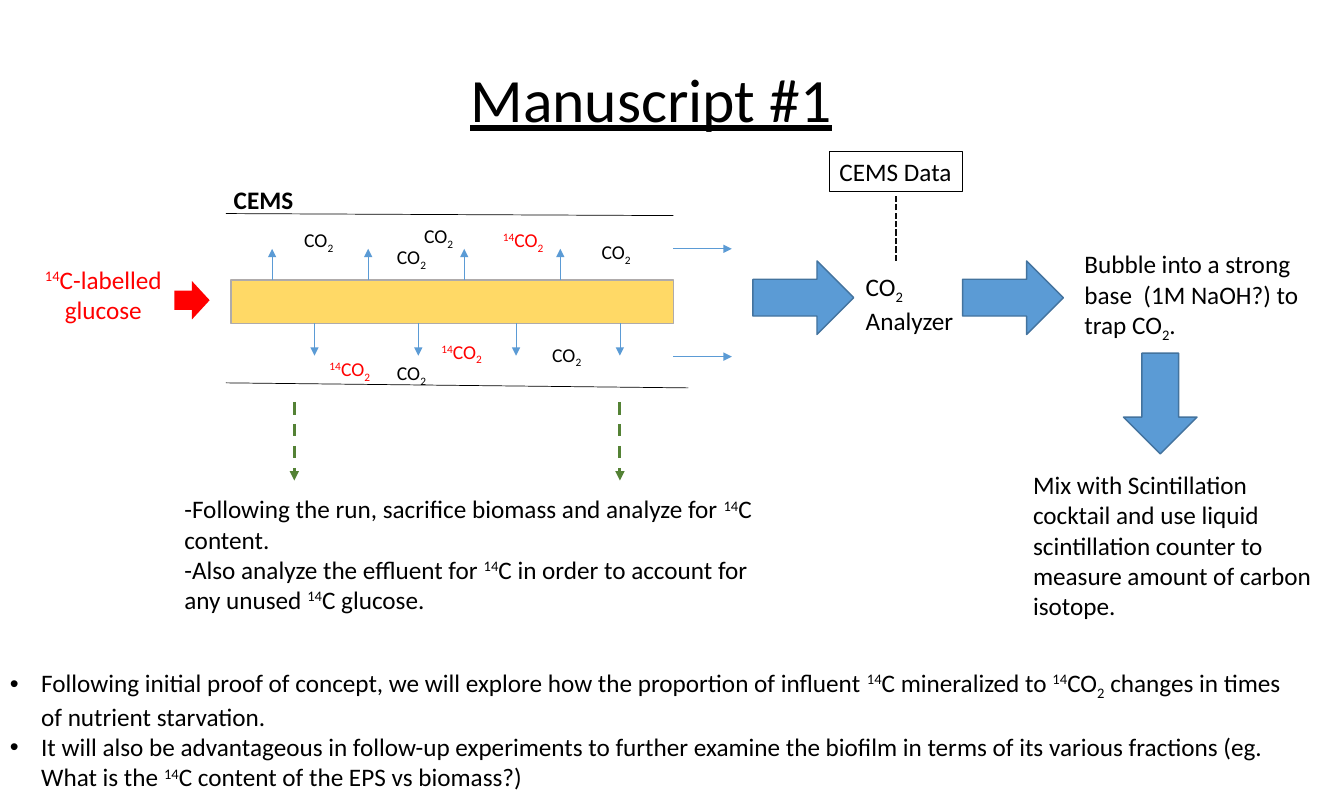
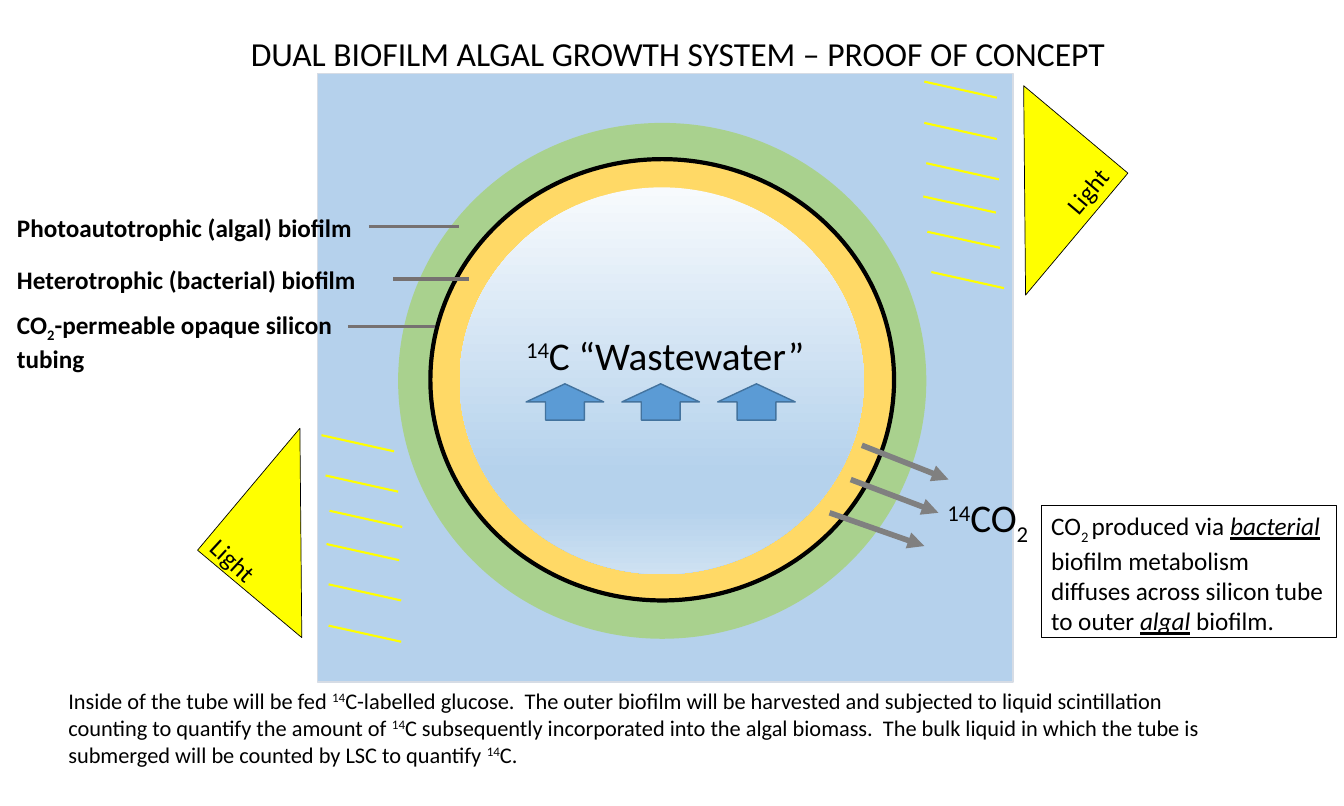
"""Build two slides on tracing labelled carbon through a biofilm tube."""
from dataclasses import dataclass
from typing import NamedTuple, Optional

from lxml import etree
from pptx import Presentation
from pptx import util as u
from pptx.dml.color import RGBColor
from pptx.enum import dml, shapes, text
from pptx.oxml.ns import qn

KIND = shapes.MSO_SHAPE
DASH = dml.MSO_LINE


@dataclass(frozen=True)
class Theme:
    """Colours, type sizes and the grid unit shared by the slides."""
    font: str = "Calibri"
    black: str = "000000"
    red: str = "FF0000"
    blue: str = "5B9BD5"
    edge: str = "43739E"
    gold: str = "FFD966"
    green: str = "A9D18E"
    moss: str = "548235"
    lamp: str = "FFFF00"
    grey: str = "808080"
    lead: str = "767171"
    title: float = 44
    large: float = 28
    head: float = 24
    body: float = 18
    note: float = 16
    small: float = 14
    unit: float = 0.1


T = Theme()
COLS, ROWS = 400 / 3, 80


class Box(NamedTuple):
    """A frame in grid columns and rows."""
    left: float
    top: float
    wide: float
    high: float


class Pen(NamedTuple):
    """An outline or line style."""
    tint: str
    width: float
    dash: Optional[DASH] = None
    arrow: bool = False


class Label(NamedTuple):
    """A piece of text with its frame and style."""
    box: Box
    lines: tuple
    size: float = T.body
    tint: str = T.black
    bold: bool = False
    align: Optional[text.PP_ALIGN] = None
    bullet: bool = False
    turn: float = 0
    pen: Optional[Pen] = None


class Form(NamedTuple):
    """A preset shape with its fill and outline."""
    kind: KIND
    box: Box
    fill: str
    pen: Optional[Pen] = None
    turn: float = 0


class Link(NamedTuple):
    """A straight line between two grid points."""
    x1: float
    y1: float
    x2: float
    y2: float
    pen: Pen


FLOW = Pen(T.blue, 0.5, arrow=True)
RIM = Pen(T.edge, 1)
THIN = Pen(T.black, 0.5)
FRAME = Pen(T.black, 0.75)
RAY = Pen(T.lamp, 1.5)
LEAD = Pen(T.lead, 2.25)
GAS = "CO|~2"
HOT = "|^14|CO|~2"


def grid(count: float) -> int:
    """Turn grid steps into a length."""
    return u.Emu(round(count * u.Inches(T.unit)))


def hue(code: str) -> RGBColor:
    """Read a colour code."""
    return RGBColor.from_string(code)


def ink(line, pen: Optional[Pen]) -> None:
    """Apply a pen to a line format."""
    if pen is None:
        line.fill.background()
        return
    line.color.rgb = hue(pen.tint)
    line.width = u.Pt(pen.width)
    if pen.dash:
        line.dash_style = pen.dash


def style(run, label: Label, mark: str) -> None:
    """Format one run by its mark: raised, lowered or stressed."""
    font = run.font
    font.name, font.size, font.bold = T.font, u.Pt(label.size), label.bold
    font.color.rgb = hue(label.tint)
    if mark == "_":
        font.italic = font.underline = True
    elif mark:
        shift = {"^": "30000", "~": "-25000"}[mark]
        run._r.get_or_add_rPr().set("baseline", shift)


def dot(para) -> None:
    """Give a paragraph a hanging round bullet."""
    props = para._p.get_or_add_pPr()
    props.set("marL", str(grid(3.1)))
    props.set("indent", str(-grid(3.1)))
    etree.SubElement(props, qn("a:buFont")).set("typeface", "Arial")
    etree.SubElement(props, qn("a:buChar")).set("char", "•")


def write(slide, label: Label):
    """Draw a label; bars part its runs and a first sign marks each."""
    item = slide.shapes.add_textbox(*map(grid, label.box))
    item.rotation = label.turn
    if label.pen:
        ink(item.line, label.pen)
    frame = item.text_frame
    frame.word_wrap = True
    for i, line in enumerate(label.lines):
        para = frame.add_paragraph() if i else frame.paragraphs[0]
        para.alignment = label.align
        if label.bullet:
            dot(para)
        for part in filter(None, line.split("|")):
            mark = part[0] if part[0] in "^~_" else ""
            run = para.add_run()
            run.text = part[len(mark):]
            style(run, label, mark)
    return item


def draw(slide, form: Form):
    """Draw a preset shape."""
    item = slide.shapes.add_shape(form.kind, *map(grid, form.box))
    item.shadow.inherit = False
    item.rotation = form.turn
    item.fill.solid()
    item.fill.fore_color.rgb = hue(form.fill)
    ink(item.line, form.pen)
    return item


def join(slide, link: Link) -> None:
    """Draw a line, with an arrowhead if its pen has one."""
    ends = map(grid, link[:4])
    item = slide.shapes.add_connector(shapes.MSO_CONNECTOR.STRAIGHT, *ends)
    ink(item.line, link.pen)
    if link.pen.arrow:
        tip = etree.SubElement(item.line._get_or_add_ln(), qn("a:tailEnd"))
        tip.set("type", "triangle")
    etree.SubElement(item._element.spPr, qn("a:effectLst"))


def fade(item, alpha: int) -> None:
    """Make a solid fill partly clear, by percent."""
    tint = item._element.spPr.find(qn("a:solidFill"))[0]
    etree.SubElement(tint, qn("a:alpha")).set("val", str(alpha * 1000))


def blend(item, stops: dict) -> None:
    """Fill a shape from top to bottom through the given stops."""
    item.fill.gradient()
    item.fill.gradient_angle = 270
    chain = item._element.spPr.find(qn("a:gradFill")).find(qn("a:gsLst"))
    for old in list(chain):
        chain.remove(old)
    for place, code in stops.items():
        stop = etree.SubElement(chain, qn("a:gs"))
        stop.set("pos", str(place * 1000))
        etree.SubElement(stop, qn("a:srgbClr")).set("val", code)


def study(slide) -> None:
    """Draw the flow chart of the first slide."""
    mid = text.PP_ALIGN.CENTER
    title = write(slide, Label(Box(7.1, 2.9, 115, 14.5), ("Manuscript #1",), T.title, align=mid))
    title.text_frame.vertical_anchor = text.MSO_ANCHOR.MIDDLE
    para = title.text_frame.paragraphs[0]
    para.line_spacing = 0.9
    para.runs[0].font.underline = True

    right = KIND.RIGHT_ARROW
    for form in (
        Form(KIND.RECTANGLE, Box(22.9, 27.8, 43.9, 4.3), T.gold, Pen("AFABAB", 1)),
        Form(right, Box(17.3, 27.9, 3.5, 3.8), T.red),
        Form(right, Box(74.7, 25.9, 10, 7.3), T.blue, RIM),
        Form(right, Box(95.5, 25.9, 10, 7.3), T.blue, RIM),
        Form(right, Box(110.1, 36.4, 10, 7.3), T.blue, RIM, 90),
    ):
        draw(slide, form)

    drop = Pen(T.moss, 2.25, DASH.DASH, True)
    links = [Link(22.4, 21.2, 66.8, 21.4, THIN), Link(22.4, 38, 68.3, 38.5, THIN)]
    links += [Link(27 + 9.53 * i, 27.8, 27 + 9.53 * i, 24.7, FLOW) for i in range(4)]
    links += [Link(x, 32.1, x, 35.3, FLOW) for x in (31.2, 41.5, 51.2, 61.5)]
    links += [Link(66.8, y, 72.6, y, FLOW) for y in (24.7, 35.4)]
    links += [Link(x, 39.9, x, 47.7, drop) for x in (29.2, 61.5)]
    links.append(Link(88.9, 25.9, 88.9, 19.3, Pen("0D0D0D", 1.5, DASH.SQUARE_DOT)))
    for link in links:
        join(slide, link)

    spots = {
        GAS: ((29.2, 22.1), (38.4, 23.8), (41.1, 21.7), (38.4, 35.3), (53.8, 33.5), (58.7, 23.3)),
        HOT: ((48.9, 22.1), (31.7, 34.9), (42.8, 33.2)),
    }
    for gas, places in spots.items():
        tint = T.red if gas == HOT else T.black
        for x, y in places:
            write(slide, Label(Box(x, y, 9.7, 3.4), (gas,), T.small, tint))

    for label in (
        Label(Box(0, 65.7, 129.2, 13.1), (
            "Following initial proof of concept, we will explore how the proportion of influent "
            "|^14|C mineralized to |^14|CO|~2| changes in times of nutrient starvation.",
            "It will also be advantageous in follow-up experiments to further examine the biofilm "
            "in terms of its various fractions (eg. What is the |^14|C content of the EPS vs "
            "biomass?)"), bullet=True),
        Label(Box(101.5, 46.1, 30.1, 16.2), (
            "Mix with Scintillation cocktail and use liquid scintillation counter to measure "
            "amount of carbon isotope.",)),
        Label(Box(1.7, 25.7, 17.1, 7.1), ("|^14|C-labelled glucose",), tint=T.red, align=mid),
        Label(Box(84.9, 26.4, 14.1, 7.1), ("CO|~2| Analyzer",)),
        Label(Box(106.6, 24.2, 24.2, 10.1), (
            "Bubble into a strong base  (1M NaOH?) to trap CO|~2|.",)),
        Label(Box(17.3, 48.5, 58.8, 13.1), (
            "-Following the run, sacrifice biomass and analyze for |^14|C content.",
            "-Also analyze the effluent for |^14|C in order to account for any unused "
            "|^14|C glucose.")),
        Label(Box(82.3, 15, 13.2, 4), ("CEMS Data",), pen=FRAME),
        Label(Box(22.2, 17.8, 20.9, 4), ("CEMS",), bold=True),
    ):
        write(slide, label)


def shine(slide) -> None:
    """Draw both lamps and their rays, each the other's half turn."""
    wide, high, far, low = 13.5, 15.8, 131.5, 71.8
    left, top = 23.1, 45
    for x, y, turn in ((left, top, 40), (far - left - wide, low - top - high, 220)):
        draw(slide, Form(KIND.RIGHT_TRIANGLE, Box(x, y, wide, high), T.lamp, THIN, turn))
    rays = ((31.9, 43.2), (32.3, 47.2), (32.7, 50.7), (32.4, 54), (32.6, 58), (32.6, 62.1))
    for x, y in rays:
        join(slide, Link(x, y, x + 7.2, y + 1.6, RAY))
        join(slide, Link(far - x, low - y, far - x - 7.2, low - y - 1.6, RAY))


def tube(slide) -> None:
    """Draw the cross section of the second slide."""
    tank = Form(KIND.RECTANGLE, Box(31.5, 7.3, 69, 60.4), T.blue, Pen("D6DCE5", 1))
    fade(draw(slide, tank), 45)
    draw(slide, Form(KIND.OVAL, Box(39.5, 12.2, 52.4, 51.2), T.green))
    draw(slide, Form(KIND.OVAL, Box(42.7, 15.8, 46, 43.8), T.gold, Pen(T.black, 3)))
    vent = Pen(T.grey, 4, arrow=True)
    for ends in ((85.5, 44.2, 94.1, 47.6), (84.4, 47.6, 93.1, 50.9), (82.3, 50.9, 91.7, 54.2)):
        join(slide, Link(*ends, vent))
    core = draw(slide, Form(KIND.OVAL, Box(45.6, 18.6, 40.1, 38.4), T.blue))
    blend(core, {0: "F7FAFD", 74: "B5D2EC", 83: "B5D2EC", 100: "CEE1F2"})
    shine(slide)
    for x1, x2, y in ((36.6, 45.5, 22.5), (39, 46.5, 27.7), (34.5, 43.2, 32.4)):
        join(slide, Link(x1, y, x2, y, LEAD))
    for i in range(3):
        draw(slide, Form(KIND.UP_ARROW, Box(52.2 + 9.5 * i, 38.1, 7.7, 3.6), T.blue, RIM))

    for label in (
        Label(Box(103.3, 50.2, 29.3, 13.1), (
            "CO|~2 |produced via |_bacterial| biofilm metabolism diffuses across silicon tube "
            "to outer |_algal| biofilm.",), pen=FRAME),
        Label(Box(0.7, 20.6, 38.2, 4), ("Photoautotrophic (algal) biofilm",), bold=True),
        Label(Box(0.7, 25.7, 44.2, 4), ("Heterotrophic (bacterial) biofilm",), bold=True),
        Label(Box(0.7, 30.2, 33.4, 7.1), (
            "CO|~2|-permeable opaque silicon", "tubing"), bold=True),
        Label(Box(51.2, 32.4, 33.2, 5.7), ("|^14|C “Wastewater”",), T.large),
        Label(Box(93, 48.5, 11, 5.7), (HOT,), T.large),
        Label(Box(19.4, 54.3, 9.1, 4), ("Light",), turn=42.7),
        Label(Box(104, 16.1, 9.1, 4), ("Light",), turn=310.2),
        Label(Box(5.8, 67.7, 117, 9.1), (
            "Inside of the tube will be fed |^14|C-labelled glucose.  The outer biofilm will be "
            "harvested and subjected to liquid scintillation counting to quantify the amount of "
            "|^14|C subsequently incorporated into the algal biomass.  The bulk liquid in which "
            "the tube is submerged will be counted by LSC to quantify |^14|C.",), T.note),
        Label(Box(23.9, 2.8, 87.6, 5), (
            "DUAL BIOFILM ALGAL GROWTH SYSTEM – PROOF OF CONCEPT",), T.head),
    ):
        write(slide, label)


deck = Presentation()
deck.slide_width, deck.slide_height = grid(COLS), grid(ROWS)
for build in (study, tube):
    build(deck.slides.add_slide(deck.slide_layouts[6]))
deck.save("out.pptx")
